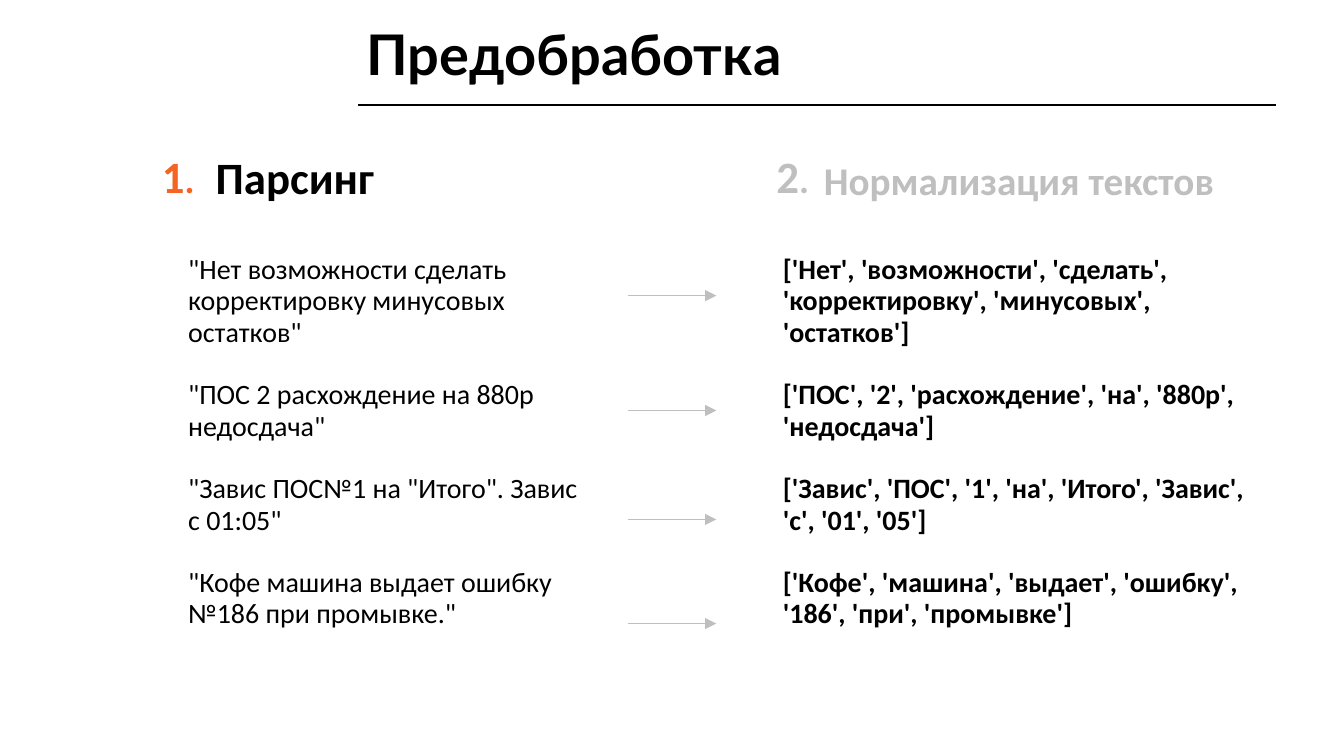
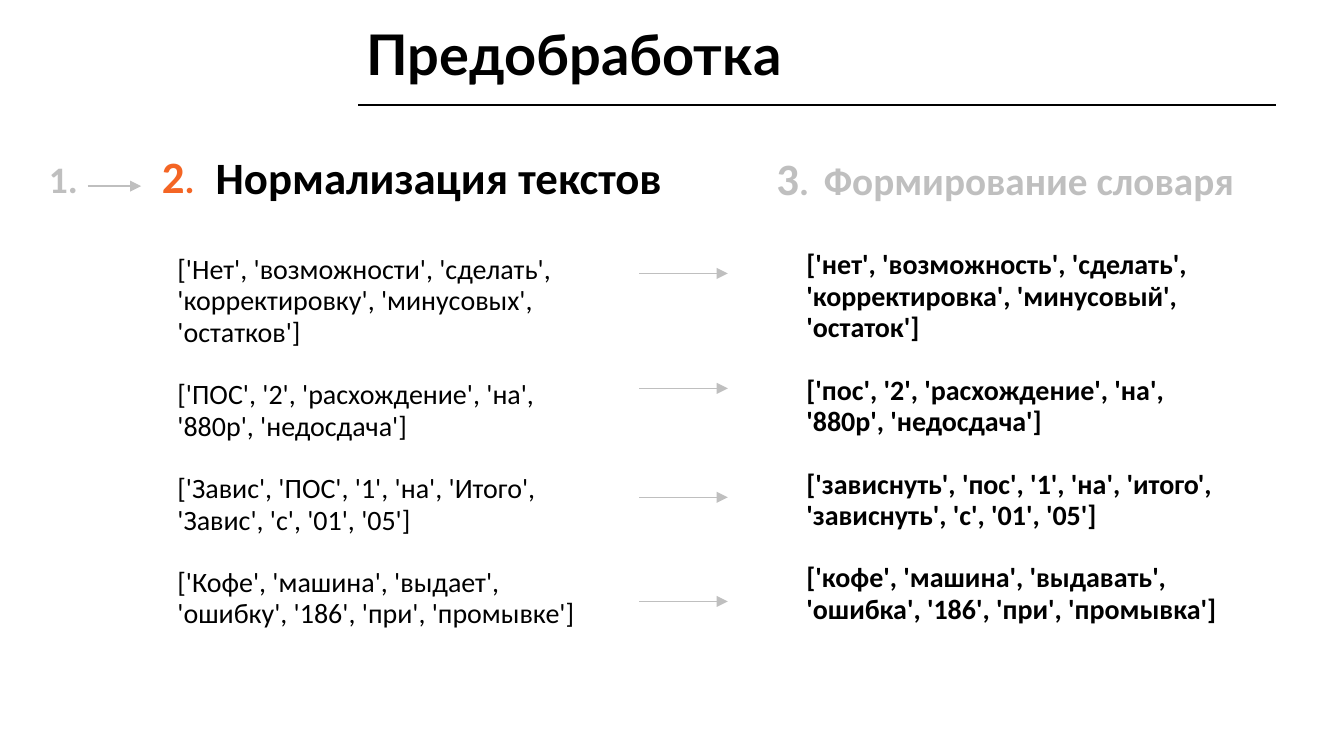
from dataclasses import dataclass

from lxml import etree
from pptx import Presentation
from pptx import util as u
from pptx.dml.color import RGBColor
from pptx.enum import shapes, text
from pptx.oxml.ns import qn

PX = 4572  # 200 px to the inch
BLACK = RGBColor(0x00, 0x00, 0x00)
ORANGE = RGBColor(0xF4, 0x65, 0x24)
GREY = RGBColor(0xBF, 0xBF, 0xBF)
BODY_FONT = "Calibri"
TITLE_FONT = "Lato"
TITLE = "Предобработка"
TWO_CONTENT = 3
ARROW_STEPS = (0, 171, 333, 488)
ARROW_LENGTH = 132
LEFT = text.PP_ALIGN.LEFT
RIGHT = text.PP_ALIGN.RIGHT


@dataclass(frozen=True)
class Area:
    left: int
    top: int
    width: int
    height: int


@dataclass(frozen=True)
class Style:
    size: int
    color: RGBColor
    bold: bool = True
    font: str = BODY_FONT


@dataclass(frozen=True)
class Examples:
    area: Area
    items: tuple[str, ...]
    bold: bool
    indent: int = 0


@dataclass(frozen=True)
class Step:
    number: int
    current: str
    following: str
    next_number_top: int
    source: Examples
    result: Examples
    arrow_left: int
    arrow_top: int


TOKENS = (
    "['Нет', 'возможности', 'сделать', 'корректировку', 'минусовых', 'остатков']",
    "['ПОС', '2', 'расхождение', 'на', '880р', 'недосдача']",
    "['Завис', 'ПОС', '1', 'на', 'Итого', 'Завис', 'с', '01', '05']",
    "['Кофе', 'машина', 'выдает', 'ошибку', '186', 'при', 'промывке']",
)
MESSAGES = (
    '"Нет возможности сделать корректировку минусовых остатков"',
    '"ПОС 2 расхождение на 880р недосдача"',
    '"Завис ПОС№1 на "Итого". Завис с 01:05"',
    '"Кофе машина выдает ошибку №186 при промывке."',
)
LEMMAS = (
    "['нет', 'возможность', 'сделать', 'корректировка', 'минусовый', 'остаток']",
    "['пос', '2', 'расхождение', 'на', '880р', 'недосдача']",
    "['зависнуть', 'пос', '1', 'на', 'итого', 'зависнуть', 'с', '01', '05']",
    "['кофе', 'машина', 'выдавать', 'ошибка', '186', 'при', 'промывка']",
)
STEPS = (
    Step(1, "Парсинг", "Нормализация текстов", 230,
         Examples(Area(218, 379, 654, 548), MESSAGES, False, 62),
         Examples(Area(1103, 379, 804, 644), TOKENS, True, 62), 934, 440),
    Step(2, "Нормализация текстов", "Формирование словаря", 234,
         Examples(Area(264, 379, 648, 644), TOKENS, False),
         Examples(Area(1200, 372, 648, 596), LEMMAS, True), 951, 407),
)


def place(shape, area: Area) -> None:
    shape.left, shape.top = area.left * PX, area.top * PX
    shape.width, shape.height = area.width * PX, area.height * PX


def set_frame(shape, inset: int = 0, anchor=text.MSO_ANCHOR.TOP):
    frame = shape.text_frame
    frame.word_wrap = True
    frame.auto_size = text.MSO_AUTO_SIZE.NONE
    frame.vertical_anchor = anchor
    frame.margin_left = frame.margin_right = inset * PX
    frame.margin_top = frame.margin_bottom = inset * PX
    return frame


def style_run(span, style: Style) -> None:
    span.font.name = style.font
    span.font.size = u.Pt(style.size)
    span.font.bold = style.bold
    span.font.color.rgb = style.color


def add_label(page, area: Area, parts: list[tuple[str, Style]],
              spacing: float = 0.9, align=LEFT) -> None:
    box = page.shapes.add_textbox(0, 0, 0, 0)
    place(box, area)
    para = set_frame(box).paragraphs[0]
    para.alignment = align
    para.line_spacing = spacing
    for words, style in parts:
        span = para.add_run()
        span.text = words
        style_run(span, style)


def add_number(page, area: Area, number: int, color: RGBColor, align=LEFT) -> None:
    parts = [(str(number), Style(24, color)), (".", Style(20, color))]
    add_label(page, area, parts, align=align)


def add_line(page, left: int, top: int, length: int, color: RGBColor, arrow: bool = True) -> None:
    line = page.shapes.add_connector(
        shapes.MSO_CONNECTOR.STRAIGHT, left * PX, top * PX, (left + length) * PX, top * PX)
    line.line.color.rgb = color
    line.line.width = u.Pt(0.75)
    if arrow:
        etree.SubElement(line.line._get_or_add_ln(), qn("a:tailEnd"), type="triangle")
    etree.SubElement(line._element.spPr, qn("a:effectLst"))


def fill_title(page) -> None:
    title = page.shapes.title
    place(title, Area(525, 10, 1382, 138))
    frame = set_frame(title, 20, text.MSO_ANCHOR.MIDDLE)
    frame.text = TITLE
    frame.paragraphs[0].alignment = LEFT
    style_run(frame.paragraphs[0].runs[0], Style(30, BLACK, font=TITLE_FONT))
    add_line(page, 533, 156, 1366, BLACK, arrow=False)


def fill_examples(body, examples: Examples) -> None:
    place(body, examples.area)
    frame = set_frame(body)
    frame.text = "\n".join(examples.items)
    for index, para in enumerate(frame.paragraphs):
        para.line_spacing = 0.93
        para.space_before = u.Pt(16.8 if index else 0)
        props = para._p.get_or_add_pPr()
        props.set("marL", str(examples.indent * PX))
        props.set("indent", "0")
        etree.SubElement(props, qn("a:buNone"))
        style_run(para.runs[0], Style(15, BLACK, examples.bold))


def add_previous_step(page, number: int) -> None:
    add_label(page, Area(10, 240, 106, 84), [(f"{number}.", Style(20, GREY))], align=RIGHT)
    add_line(page, 131, 277, 79, GREY)


def add_step_page(deck, step: Step) -> None:
    page = deck.slides.add_slide(deck.slide_layouts[TWO_CONTENT])
    fill_title(page)
    fill_examples(page.placeholders[1], step.source)
    fill_examples(page.placeholders[2], step.result)
    add_label(page, Area(321, 230, 1198, 94), [(step.current, Style(24, BLACK))], 0.93)
    add_number(page, Area(241, 230, 138, 98), step.number, ORANGE)
    top = step.next_number_top
    add_number(page, Area(1088, top, 116, 328 - top), step.number + 1, GREY, RIGHT)
    add_label(page, Area(1226, 239, 624, 84), [(step.following, Style(21, GREY))], 0.93)
    for drop in ARROW_STEPS:
        add_line(page, step.arrow_left, step.arrow_top + drop, ARROW_LENGTH, GREY)
    if step.number > 1:
        add_previous_step(page, step.number - 1)


def main() -> None:
    deck = Presentation()
    deck.slide_width, deck.slide_height = 2000 * PX, 1125 * PX
    for step in STEPS:
        add_step_page(deck, step)
    deck.save("out.pptx")


if __name__ == "__main__":
    main()
